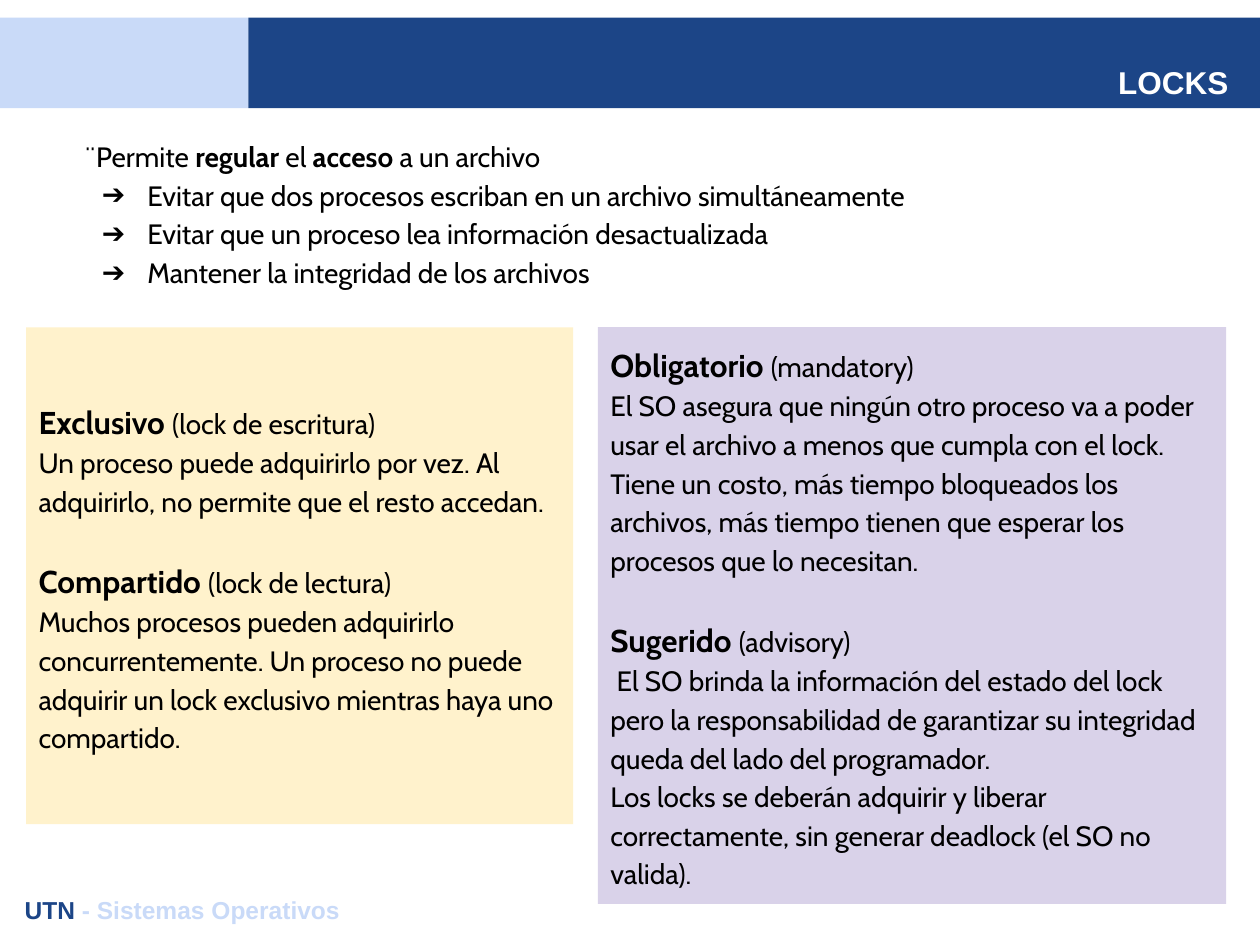
from lxml import etree
from pptx import Presentation
from pptx.dml.color import RGBColor
from pptx.enum import shapes, text
from pptx.oxml.ns import qn
from pptx.util import Pt

NAVY, SKY, CREAM, LILAC = "1C4587", "C9DAF8", "FFF2CC", "D9D2E9"
BLANK_LINE = 22


def write(paragraph, words, size=16, font="Cabin", color="000000", bold=False,
          align=text.PP_ALIGN.LEFT, spacing=1.15, before=0):
    paragraph.alignment = align
    paragraph.line_spacing = spacing
    paragraph.space_before = Pt(before)
    run = paragraph.add_run()
    run.text = words
    run.font.size, run.font.name, run.font.bold = Pt(size), font, bold
    run.font.color.rgb = RGBColor.from_string(color)


def place(shape, left, top, width, height, anchor=text.MSO_ANCHOR.TOP, fill=None):
    """Set position, text frame and fill; return the text frame."""
    shape.left, shape.top = Pt(left), Pt(top)
    shape.width, shape.height = Pt(width), Pt(height)
    if fill:
        shape.shadow.inherit = False
        shape.fill.solid()
        shape.fill.fore_color.rgb = RGBColor.from_string(fill)
        shape.line.fill.background()
    frame = shape.text_frame
    frame.word_wrap = True
    frame.auto_size = text.MSO_AUTO_SIZE.NONE
    frame.vertical_anchor = anchor
    frame.margin_left = frame.margin_right = Pt(7.2)
    frame.margin_top = frame.margin_bottom = Pt(7.2)
    return frame


prs = Presentation()
prs.slide_width, prs.slide_height = Pt(720), Pt(540)
slide = prs.slides.add_slide(prs.slide_layouts[1])
RECT = shapes.MSO_SHAPE.RECTANGLE

# Header band, with the title brought in front of it
for left, width, fill in [(0, 142, SKY), (142, 578, NAVY)]:
    place(slide.shapes.add_shape(RECT, 0, 0, 0, 0), left, 10.1, width, 51.8, fill=fill)

title = slide.shapes.title
heading = place(title, 97.2, 28.8, 612, 36, text.MSO_ANCHOR.BOTTOM)
write(heading.paragraphs[0], "LOCKS", size=18, font="Arial", color="FFFFFF",
      bold=True, align=text.PP_ALIGN.RIGHT, spacing=1.0)
title._element.getparent().append(title._element)

# Lock types: (name, kind, explanations)
panels = [
    (15, 187, 312.5, 284, CREAM, [
        ("Exclusivo ", "(lock de escritura)", [
            "Un proceso puede adquirirlo por vez. Al adquirirlo, no permite que el "
            "resto accedan."]),
        ("Compartido ", "(lock de lectura)", [
            "Muchos procesos pueden adquirirlo concurrentemente. Un proceso no puede "
            "adquirir un lock exclusivo mientras haya uno compartido."]),
    ]),
    (341.7, 187, 359, 329.5, LILAC, [
        ("Obligatorio ", "(mandatory)", [
            "El SO asegura que ningún otro proceso va a poder usar el archivo a menos "
            "que cumpla con el lock. Tiene un costo, más tiempo bloqueados los "
            "archivos, más tiempo tienen que esperar los procesos que lo necesitan."]),
        ("Sugerido ", "(advisory)", [
            " El SO brinda la información del estado del lock pero la responsabilidad "
            "de garantizar su integridad queda del lado del programador.",
            "Los locks se deberán adquirir y liberar correctamente, sin generar "
            "deadlock (el SO no valida)."]),
    ]),
]
for left, top, width, height, fill, locks in panels:
    panel = place(slide.shapes.add_shape(RECT, 0, 0, 0, 0), left, top, width, height,
                  text.MSO_ANCHOR.MIDDLE, fill)
    for number, (name, kind, explanations) in enumerate(locks):
        gap = BLANK_LINE if number else 0
        line = panel.add_paragraph() if number else panel.paragraphs[0]
        write(line, name, size=18, bold=True, before=gap)
        write(line, kind, before=gap)
        for explanation in explanations:
            write(panel.add_paragraph(), explanation)

# Purpose of locks
purpose = place(slide.placeholders[1], 41, 69.8, 608, 112.3)
intro = purpose.paragraphs[0]
for words, bold in [("¨Permite ", False), ("regular ", True), ("el ", False),
                    ("acceso ", True), ("a un archivo", False)]:
    write(intro, words, bold=bold)
intro_format = intro._p.get_or_add_pPr()
intro_format.set("marL", "0")
intro_format.set("indent", "0")
etree.SubElement(intro_format, qn("a:buNone"))

for goal in ["Evitar que dos procesos escriban en un archivo simultáneamente",
             "Evitar que un proceso lea información desactualizada",
             "Mantener la integridad de los archivos"]:
    item = purpose.add_paragraph()
    write(item, goal)
    item_format = item._p.get_or_add_pPr()
    item_format.set("marL", str(Pt(36)))
    item_format.set("indent", str(Pt(-26)))
    bullet_color = etree.SubElement(item_format, qn("a:buClr"))
    etree.SubElement(bullet_color, qn("a:srgbClr"), val="000000")
    etree.SubElement(item_format, qn("a:buFont"), typeface="Cabin")
    etree.SubElement(item_format, qn("a:buChar"), char="➔")

# Footer
footer = place(slide.shapes.add_textbox(0, 0, 0, 0), 7, 504, 706, 32)
for words, color in [("UTN", NAVY), (" - Sistemas Operativos", SKY)]:
    write(footer.paragraphs[0], words, size=14, font="Arial", color=color,
          bold=True, spacing=1.0)

prs.save("out.pptx")
